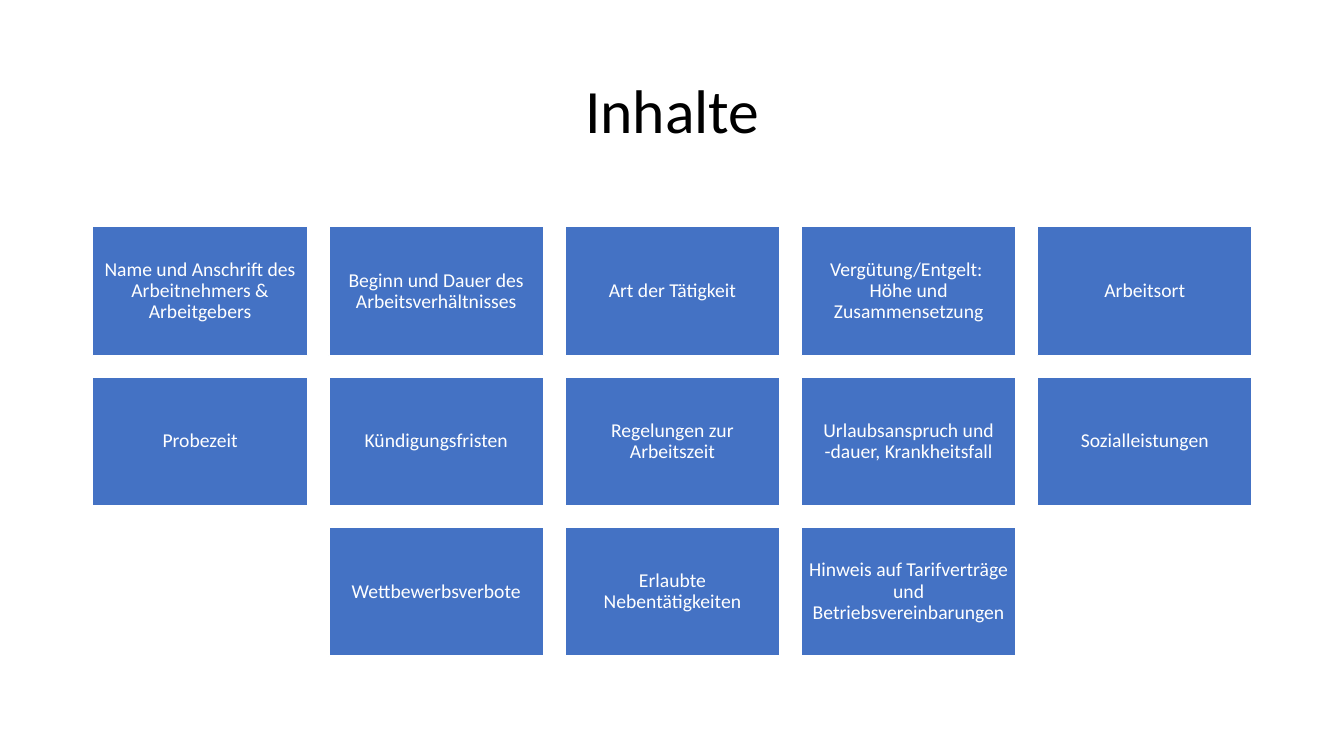
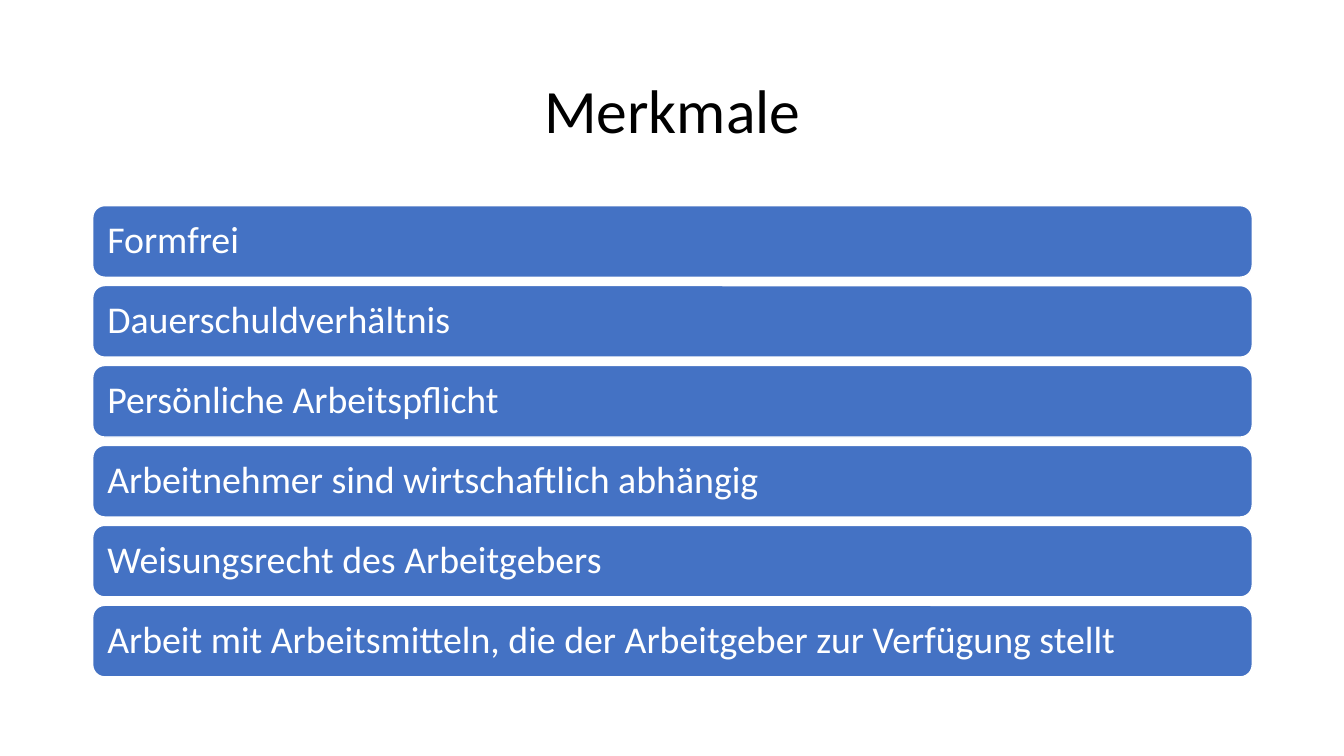
from dataclasses import dataclass

from pptx import Presentation
from pptx.dml.color import RGBColor
from pptx.enum.shapes import MSO_SHAPE as Preset
from pptx.enum.text import MSO_ANCHOR as Anchor, MSO_AUTO_SIZE as AutoSize, PP_ALIGN as Align
from pptx.util import Inches, Pt


@dataclass(frozen=True)
class Theme:
    font: str = "Calibri"
    accent: RGBColor = RGBColor(0x44, 0x72, 0xC4)
    dark: RGBColor = RGBColor(0, 0, 0)
    light: RGBColor = RGBColor(255, 255, 255)
    title_size: int = 44
    tile_size: int = 14
    bar_size: int = 27
    line_spacing: float = 0.9


THEME = Theme()

# Shared page frame, in inches
SLIDE_WIDTH, SLIDE_HEIGHT = 13.33, 7.5
LEFT, CONTENT_WIDTH = 0.92, 11.5
TITLE_TOP, TITLE_HEIGHT = 0.4, 1.45

# Tile grid
COLUMNS = 5
TILE_TOP, TILE_WIDTH, TILE_HEIGHT, TILE_GAP = 2.25, 2.13, 1.28, 0.21
TILE_INSET = 0.06

# Stack of bars
BAR_TOP, BAR_HEIGHT, BAR_PITCH = 2.04, 0.71, 0.793
BAR_INSET = 0.11

CONTENTS = [
    "Name und Anschrift des Arbeitnehmers & Arbeitgebers",
    "Beginn und Dauer des Arbeitsverhältnisses",
    "Art der Tätigkeit",
    "Vergütung/Entgelt: \vHöhe und Zusammensetzung",
    "Arbeitsort",
    "Probezeit",
    "Kündigungsfristen",
    "Regelungen zur Arbeitszeit",
    "Urlaubsanspruch und -dauer, Krankheitsfall",
    "Sozialleistungen",
    "Wettbewerbsverbote",
    "Erlaubte Nebentätigkeiten",
    "Hinweis auf Tarifverträge und Betriebsvereinbarungen",
]

FEATURES = [
    "Formfrei",
    "Dauerschuldverhältnis",
    "Persönliche Arbeitspflicht",
    "Arbeitnehmer sind wirtschaftlich abhängig",
    "Weisungsrecht des Arbeitgebers",
    "Arbeit mit Arbeitsmitteln, die der Arbeitgeber zur Verfügung stellt",
]


def apply_format(target, values):
    for name, value in values.items():
        setattr(target, name, value)


def write_text(shape, text, size, color, align, inset):
    """Put one formatted, vertically centred paragraph into a shape."""
    frame = shape.text_frame
    margins = {f"margin_{side}": Inches(inset) for side in ("left", "top", "right", "bottom")}
    apply_format(frame, {"word_wrap": True, "auto_size": AutoSize.NONE,
                         "vertical_anchor": Anchor.MIDDLE, **margins})
    paragraph = frame.paragraphs[0]
    paragraph.text = text
    apply_format(paragraph, {"alignment": align, "line_spacing": THEME.line_spacing})
    for run in paragraph.runs:
        apply_format(run.font, {"name": THEME.font, "size": Pt(size)})
        run.font.color.rgb = color


def add_titled_slide(presentation, title):
    slide = presentation.slides.add_slide(presentation.slide_layouts.get_by_name("Title Only"))
    shape = slide.shapes.title
    apply_format(shape, {"left": Inches(LEFT), "top": Inches(TITLE_TOP),
                         "width": Inches(CONTENT_WIDTH), "height": Inches(TITLE_HEIGHT)})
    write_text(shape, title, THEME.title_size, THEME.dark, Align.CENTER, 0.05)
    return slide


def add_box(slide, preset, box, text, size, align, inset):
    shape = slide.shapes.add_shape(preset, *map(Inches, box))
    shape.shadow.inherit = False
    shape.fill.solid()
    shape.fill.fore_color.rgb = THEME.accent
    shape.line.color.rgb = THEME.light
    shape.line.width = Pt(1)
    write_text(shape, text, size, THEME.light, align, inset)


def add_tiles(slide, labels):
    """Fill rows of tiles; a short last row is centred."""
    column_pitch = (CONTENT_WIDTH - TILE_WIDTH) / (COLUMNS - 1)
    for index, label in enumerate(labels):
        row, column = divmod(index, COLUMNS)
        row_length = min(COLUMNS, len(labels) - row * COLUMNS)
        column += (COLUMNS - row_length) / 2
        box = (LEFT + column * column_pitch, TILE_TOP + row * (TILE_HEIGHT + TILE_GAP),
               TILE_WIDTH, TILE_HEIGHT)
        add_box(slide, Preset.RECTANGLE, box, label, THEME.tile_size, Align.CENTER, TILE_INSET)


def add_bars(slide, labels):
    for row, label in enumerate(labels):
        box = (LEFT, BAR_TOP + row * BAR_PITCH, CONTENT_WIDTH, BAR_HEIGHT)
        add_box(slide, Preset.ROUNDED_RECTANGLE, box, label, THEME.bar_size, Align.LEFT, BAR_INSET)


def main():
    presentation = Presentation()
    apply_format(presentation, {"slide_width": Inches(SLIDE_WIDTH),
                                "slide_height": Inches(SLIDE_HEIGHT)})
    add_tiles(add_titled_slide(presentation, "Inhalte"), CONTENTS)
    add_bars(add_titled_slide(presentation, "Merkmale"), FEATURES)
    presentation.save("out.pptx")


main()
